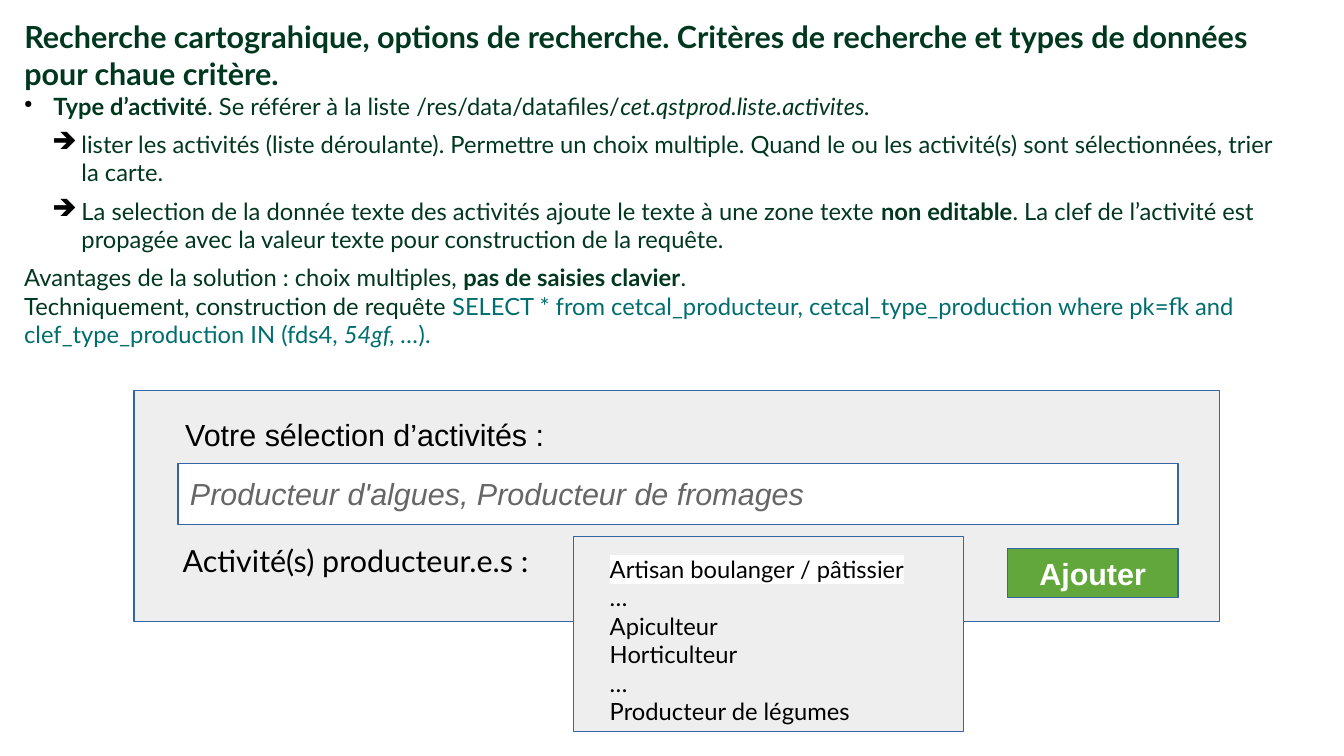
from lxml import etree
from pptx import Presentation
from pptx import util as u
from pptx.dml.color import RGBColor
from pptx.enum import shapes, text
from pptx.oxml.ns import qn

COLORS = {
    "heading": "00381F", "query": "006D6F", "black": "000000",
    "white": "FFFFFF", "panel": "EEEEEE", "outline": "3465A4",
    "button": "62A73B", "hint": "666666",
}
LEFT, CENTER = text.PP_ALIGN.LEFT, text.PP_ALIGN.CENTER
TOP, MIDDLE = text.MSO_ANCHOR.TOP, text.MSO_ANCHOR.MIDDLE

TITLE = ("Recherche cartograhique, options de recherche. Critères de recherche "
         "et types de données pour chaue critère.")
BOLD, ITALIC = {"bold": True}, {"italic": True}
QUERY = {"color": "query"}
DOT = {"char": "●", "size": 45, "indent": 0.24}
ARROW = {"char": "➔", "size": 100, "indent": 0.47, "level": 1}
NOTES = [
    (DOT, [("Type d’activité", BOLD),
           (". Se référer à la liste /res/data/datafiles/", {}),
           ("cet.qstprod.liste.activites.", ITALIC)]),
    (ARROW, [("lister les activités (liste déroulante). Permettre un choix multiple. "
              "Quand le ou les activité(s) sont sélectionnées, trier la carte.", {})]),
    (ARROW, [("La selection de la donnée texte des activités ajoute le texte "
              "à une zone texte ", {}),
             ("non editable", BOLD),
             (". La clef de l’activité est propagée avec la valeur texte pour "
              "construction de la requête.", {})]),
    (None, [("Avantages de la solution : choix multiples, ", {}),
            ("pas de saisies clavier", BOLD), (".", {})]),
    (None, [("Techniquement, construction de requête ", {}),
            ("SELECT * from cetcal_producteur, cetcal_type_production where pk=fk "
             "and clef_type_production IN (fds4", QUERY),
            (", 54gf, …", {**QUERY, **ITALIC}), (").", QUERY)]),
]
ACTIVITIES = ["Artisan boulanger / pâtissier", "…", "Apiculteur",
              "Horticulteur", "…", "Producteur de légumes"]


def rgb(name):
    return RGBColor.from_string(COLORS[name])


def add_run(p, content, size=18, font="Lato", color="black", bold=False,
            italic=False, highlight=None):
    r = p.add_run()
    r.text = content
    r.font.size, r.font.name = u.Pt(size), font
    r.font.bold, r.font.italic = bold, italic
    r.font.color.rgb = rgb(color)
    if highlight:
        mark = etree.Element(qn("a:highlight"))
        etree.SubElement(mark, qn("a:srgbClr"), val=COLORS[highlight])
        r.font.fill  # the highlight has to follow the fill
        r._r.rPr.find(qn("a:solidFill")).addnext(mark)


def set_bullet(p, char, size, indent, level=0):
    p.level = level
    p.space_after = u.Pt(5.8)
    pPr = p._p.get_or_add_pPr()
    pPr.set("marL", str(u.Inches(indent)))
    pPr.set("indent", str(u.Inches(-0.24)))
    color = etree.SubElement(pPr, qn("a:buClr"))
    etree.SubElement(color, qn("a:srgbClr"), val=COLORS["black"])
    etree.SubElement(pPr, qn("a:buSzPct"), val=str(size * 1000))
    etree.SubElement(pPr, qn("a:buChar"), char=char)


def set_frame(sp, anchor=TOP, left=0.1, top=0.05):
    tf = sp.text_frame
    tf.word_wrap, tf.vertical_anchor = True, anchor
    tf.auto_size = text.MSO_AUTO_SIZE.NONE
    tf.margin_left, tf.margin_right = u.Inches(left), u.Inches(0.1)
    tf.margin_top, tf.margin_bottom = u.Inches(top), u.Inches(0.05)
    return tf


def write_line(tf, content, align=LEFT, first=True, **fmt):
    p = tf.paragraphs[0] if first else tf.add_paragraph()
    p.alignment = align
    add_run(p, content, **fmt)


def add_text_box(s, x, y, w, h):
    return set_frame(s.shapes.add_textbox(*map(u.Inches, (x, y, w, h))))


def add_box(s, x, y, w, h, fill, **frame):
    """Add an outlined rectangle and return its text frame."""
    sp = s.shapes.add_shape(shapes.MSO_SHAPE.RECTANGLE,
                            *map(u.Inches, (x, y, w, h)))
    sp.shadow.inherit = False
    sp.fill.solid()
    sp.fill.fore_color.rgb = rgb(fill)
    sp.line.color.rgb = rgb("outline")
    sp.line.width = u.Pt(0)
    return set_frame(sp, **frame)


def add_title(s, x, y, w, h):
    sp = s.shapes.title
    sp.left, sp.top, sp.width, sp.height = map(u.Inches, (x, y, w, h))
    write_line(set_frame(sp), TITLE, color="heading", bold=True)


def add_notes(s, x, y, w, h):
    tf = add_text_box(s, x, y, w, h)
    for i, (bullet, runs) in enumerate(NOTES):
        p = tf.add_paragraph() if i else tf.paragraphs[0]
        p.alignment = LEFT
        if bullet:
            set_bullet(p, **bullet)
        for content, fmt in runs:
            add_run(p, content, **{"size": 14, "color": "heading", **fmt})


def add_activity_list(s, x, y, w, h):
    tf = add_box(s, x, y, w, h, "panel", left=0.3, top=0.15)
    for i, activity in enumerate(ACTIVITIES):
        write_line(tf, activity, first=i == 0, size=14,
                   highlight=None if i else "white")


def add_search_form(s, x, y, w, h):
    add_box(s, x, y, w, h, "panel")
    write_line(add_text_box(s, x + 0.32, y + 0.16, 5.9, 0.38),
               "Votre sélection d’activités :", font="Arial")
    field = add_box(s, x + 0.36, y + 0.6, 8.2, 0.5, "white", anchor=MIDDLE)
    write_line(field, "Producteur d'algues, Producteur de fromages",
               font="Arial", color="hint", italic=True)
    write_line(add_text_box(s, x + 0.3, y + 1.2, 3.2, 0.44),
               "Activité(s) producteur.e.s :")
    add_activity_list(s, x + 3.6, y + 1.2, 3.2, 1.6)
    button = add_box(s, x + 7.16, y + 1.3, 1.4, 0.4, "button", anchor=MIDDLE)
    write_line(button, "Ajouter", align=CENTER, font="Arial",
               color="white", bold=True)


def main():
    prs = Presentation()
    prs.slide_width, prs.slide_height = u.Inches(11.02), u.Inches(6.2)
    s = prs.slides.add_slide(prs.slide_layouts.get_by_name("Title Only"))
    add_title(s, 0.1, 0.1, 10.6, 0.7)
    add_notes(s, 0.1, 0.7, 10.6, 2.3)
    add_search_form(s, 1.1, 3.2, 8.9, 1.9)
    prs.save("out.pptx")


if __name__ == "__main__":
    main()
